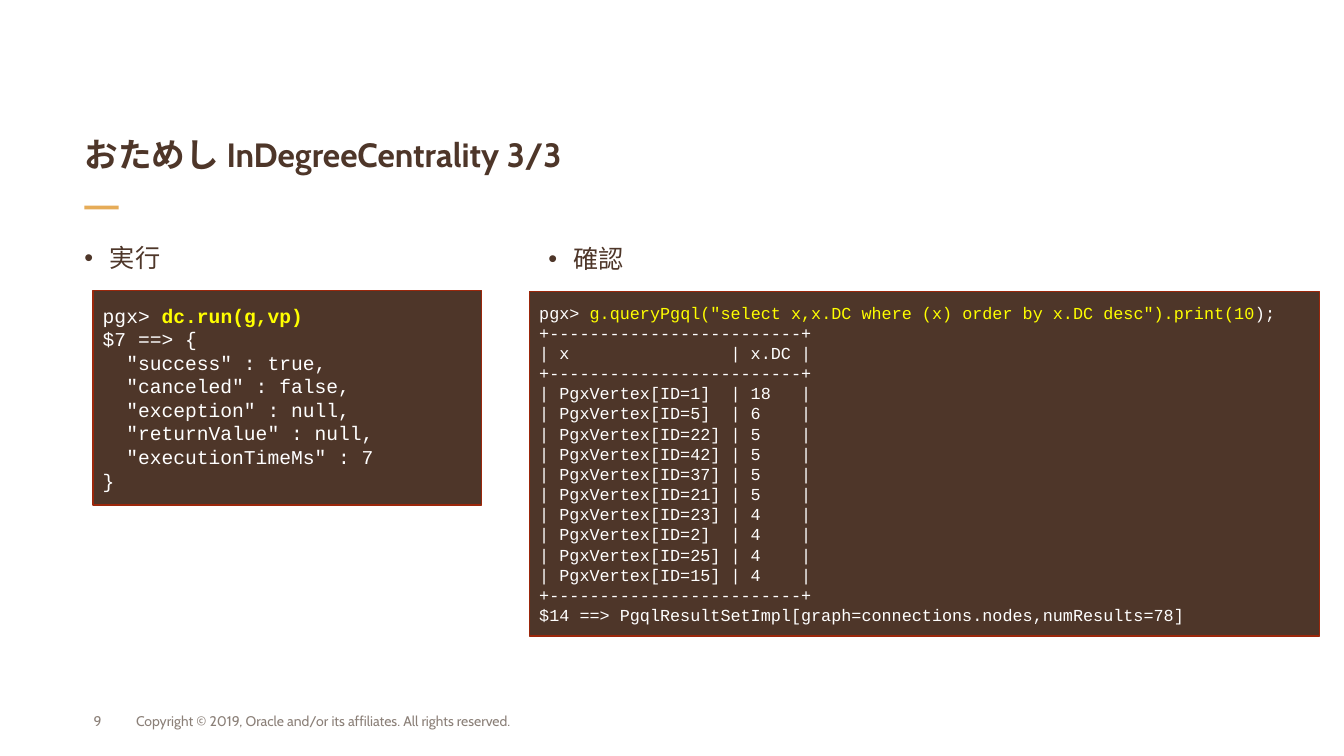
"""Build the InDegreeCentrality slide with two captioned console panels."""
from dataclasses import dataclass

from lxml.etree import SubElement
from pptx import Presentation
from pptx.dml.color import RGBColor
from pptx.enum.shapes import MSO_SHAPE
from pptx.enum.text import MSO_ANCHOR, MSO_AUTO_SIZE, PP_ALIGN
from pptx.oxml.ns import qn
from pptx.slide import Slide
from pptx.text.text import Font, TextFrame
from pptx.util import Cm, Pt


@dataclass(frozen=True)
class Theme:
    brown: RGBColor = RGBColor(0x4E, 0x36, 0x29)
    red: RGBColor = RGBColor(0x9B, 0x27, 0x0B)
    amber: RGBColor = RGBColor(0xE6, 0xAC, 0x58)
    grey: RGBColor = RGBColor(0x8B, 0x80, 0x78)
    white: RGBColor = RGBColor(0xFF, 0xFF, 0xFF)
    yellow: RGBColor = RGBColor(0xFF, 0xFF, 0x00)
    text_font: str = "Cabin"
    code_font: str = "Courier New"
    title_size: int = 24
    caption_size: int = 18
    footer_size: int = 10
    line_spacing: float = 0.9


@dataclass(frozen=True)
class Box:
    left: float
    top: float
    width: float
    height: float

    def lengths(self) -> tuple[Cm, Cm, Cm, Cm]:
        """Return the four measures as lengths."""
        return Cm(self.left), Cm(self.top), Cm(self.width), Cm(self.height)


@dataclass(frozen=True)
class Command:
    typed: str
    ending: str = ""
    bold: bool = False


@dataclass(frozen=True)
class Console:
    caption: str
    caption_box: Box
    panel_box: Box
    size: int
    command: Command
    output: list[str]


THEME = Theme()
PROMPT = "pgx> "
TITLE = "おためし InDegreeCentrality 3/3"
TITLE_BOX = Box(2.13, 2.18, 28.65, 2.34)
ACCENT_BOX = Box(2.13, 5.18, 0.86, 0.1)
FOOTERS = [
    ("9", Box(2.11, 17.65, 1.07, 1.02)),
    ("Copyright © 2019, Oracle and/or its affiliates. All rights reserved.",
     Box(3.18, 17.65, 11.43, 1.02)),
]
RUN_OUTPUT = [
    "$7 ==> {",
    '  "success" : true,',
    '  "canceled" : false,',
    '  "exception" : null,',
    '  "returnValue" : null,',
    '  "executionTimeMs" : 7',
    "}",
]
DEGREES = [(1, 18), (5, 6), (22, 5), (42, 5), (37, 5),
           (21, 5), (23, 4), (2, 4), (25, 4), (15, 4)]


def result_row(vertex: str, degree: str) -> str:
    """Format one row of the query result."""
    return f"| {vertex:<16} | {degree:<4} |"


def query_output() -> list[str]:
    """List the printed lines of the query result."""
    rule = "+" + "-" * 25 + "+"
    rows = [result_row(f"PgxVertex[ID={vertex}]", str(degree))
            for vertex, degree in DEGREES]
    summary = "$14 ==> PgqlResultSetImpl[graph=connections.nodes,numResults=78]"
    return [rule, result_row("x", "x.DC"), rule, *rows, rule, summary]


CONSOLES = [
    Console("実行", Box(2.13, 6.07, 10.8, 1.22), Box(2.34, 7.32, 9.8, 5.41), 14,
            Command("dc.run(g,vp)", bold=True), RUN_OUTPUT),
    Console("確認", Box(13.82, 6.1, 10.8, 1.22), Box(13.34, 7.34, 19.91, 8.69), 12,
            Command('g.queryPgql("select x,x.DC where (x) order by x.DC desc").print(10',
                    ending=");"), query_output()),
]


def style_font(font: Font, name: str, size: int, colour: RGBColor, bold: bool = False) -> None:
    """Apply name, size, colour and weight to a font."""
    font.name = name
    font.size = Pt(size)
    font.color.rgb = colour
    font.bold = bold


def set_frame(frame: TextFrame, anchor: MSO_ANCHOR) -> None:
    """Wrap and anchor a text frame at a fixed size."""
    frame.word_wrap = True
    frame.auto_size = MSO_AUTO_SIZE.NONE
    frame.vertical_anchor = anchor


def draw_title(page: Slide) -> None:
    """Place the title and the accent bar below it."""
    title = page.shapes.title
    title.left, title.top, title.width, title.height = TITLE_BOX.lengths()
    frame = title.text_frame
    set_frame(frame, MSO_ANCHOR.BOTTOM)
    frame.margin_left = frame.margin_right = 0
    frame.text = TITLE
    para = frame.paragraphs[0]
    para.alignment = PP_ALIGN.LEFT
    para.line_spacing = THEME.line_spacing
    style_font(para.font, THEME.text_font, THEME.title_size, THEME.brown, bold=True)
    accent = page.shapes.add_shape(MSO_SHAPE.RECTANGLE, *ACCENT_BOX.lengths())
    accent.shadow.inherit = False
    accent.fill.solid()
    accent.fill.fore_color.rgb = THEME.amber
    accent.line.fill.background()


def draw_caption(page: Slide, caption: str, box: Box) -> None:
    """Write a bulleted caption."""
    frame = page.shapes.add_textbox(*box.lengths()).text_frame
    set_frame(frame, MSO_ANCHOR.TOP)
    frame.margin_left = 0
    frame.text = caption
    para = frame.paragraphs[0]
    properties = para._p.get_or_add_pPr()
    indent = Cm(0.64)
    properties.set("marL", str(indent))
    properties.set("indent", str(-indent))
    SubElement(properties, qn("a:buFont"), typeface="Arial")
    SubElement(properties, qn("a:buChar"), char="•")
    para.line_spacing = THEME.line_spacing
    style_font(para.font, THEME.text_font, THEME.caption_size, THEME.brown)


def draw_panel(page: Slide, console: Console) -> None:
    """Draw a console panel with its command and output."""
    panel = page.shapes.add_shape(MSO_SHAPE.RECTANGLE, *console.panel_box.lengths())
    panel.shadow.inherit = False
    panel.fill.solid()
    panel.fill.fore_color.rgb = THEME.brown
    panel.line.color.rgb = THEME.red
    panel.line.width = Pt(1)
    frame = panel.text_frame
    set_frame(frame, MSO_ANCHOR.MIDDLE)
    frame.text = "\n".join([PROMPT, *console.output])
    for para in frame.paragraphs:
        para.alignment = PP_ALIGN.LEFT
        style_font(para.font, THEME.code_font, console.size, THEME.white)
    command_line = frame.paragraphs[0]
    typed = command_line.add_run()
    typed.text = console.command.typed
    typed.font.color.rgb = THEME.yellow
    typed.font.bold = console.command.bold
    if console.command.ending:
        command_line.add_run().text = console.command.ending


def draw_footer(page: Slide, text: str, box: Box) -> None:
    """Write one part of the footer line."""
    frame = page.shapes.add_textbox(*box.lengths()).text_frame
    set_frame(frame, MSO_ANCHOR.MIDDLE)
    frame.text = text
    style_font(frame.paragraphs[0].font, THEME.text_font, THEME.footer_size, THEME.grey)


def main() -> None:
    """Build and save the deck."""
    deck = Presentation()
    deck.slide_width, deck.slide_height = Cm(33.87), Cm(19.05)
    page = deck.slides.add_slide(deck.slide_layouts.get_by_name("Title Only"))
    draw_title(page)
    for console in CONSOLES:
        draw_caption(page, console.caption, console.caption_box)
        draw_panel(page, console)
    for text, box in FOOTERS:
        draw_footer(page, text, box)
    deck.save("out.pptx")


if __name__ == "__main__":
    main()
